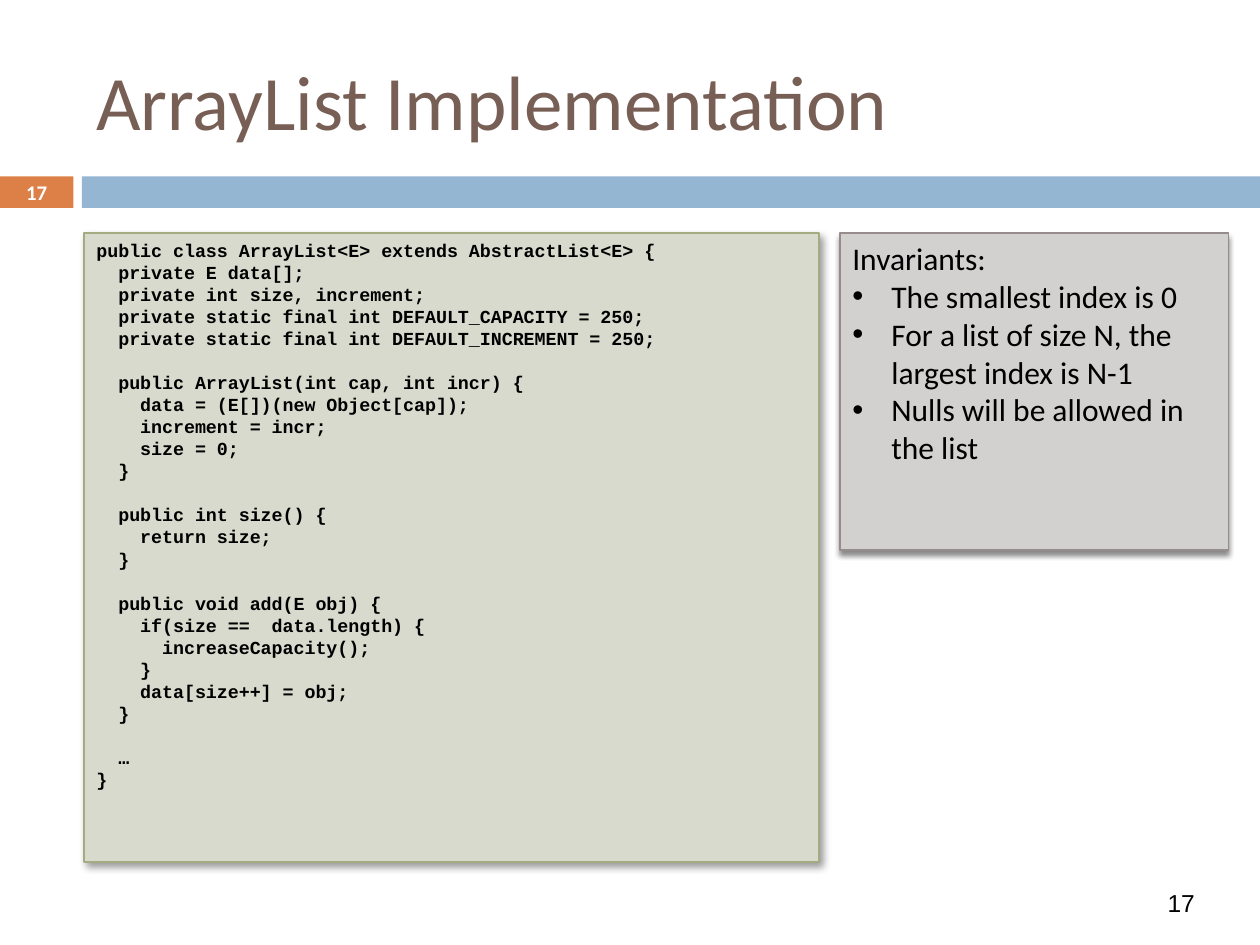
from dataclasses import dataclass

from lxml.etree import SubElement
from pptx import Presentation
from pptx.dml.color import RGBColor as RGB
from pptx.enum.shapes import MSO_SHAPE as Shape
from pptx.enum.text import MSO_ANCHOR as Anchor, PP_ALIGN as Align
from pptx.oxml.ns import qn
from pptx.util import Inches, Pt

COLUMNS, ROWS = 120, 90
WIDTH, HEIGHT = Inches(10), Inches(7.5)

CODE = """public class ArrayList<E> extends AbstractList<E> {
  private E data[];
  private int size, increment;
  private static final int DEFAULT_CAPACITY = 250;
  private static final int DEFAULT_INCREMENT = 250;

  public ArrayList(int cap, int incr) {
    data = (E[])(new Object[cap]);
    increment = incr;
    size = 0;
  }

  public int size() {
    return size;
  }

  public void add(E obj) {
    if(size ==  data.length) {
      increaseCapacity();
    }
    data[size++] = obj;
  }

  …
}"""

INVARIANTS = """Invariants:
The smallest index is 0
For a list of size N, the largest index is N-1
Nulls will be allowed in the list"""


@dataclass(frozen=True)
class TextStyle:
    """Font, size, colour and weight of a piece of text."""
    font: str
    size: float
    color: str = "000000"
    bold: bool = False


@dataclass(frozen=True)
class PanelStyle:
    """Fill, outline and shadow of a panel."""
    fill: str
    line: str
    opacity: int
    blur: float
    distance: float
    angle: int


@dataclass(frozen=True)
class Theme:
    """Colours and type of the slide."""
    accent: str = "DD8047"
    band: str = "94B6D2"
    title: TextStyle = TextStyle("Calibri", 44, "775F55")
    badge: TextStyle = TextStyle("Calibri", 11.9, "FFFFFF", True)
    footer: TextStyle = TextStyle("Arial", 14)
    code: TextStyle = TextStyle("Courier New", 10.5, bold=True)
    body: TextStyle = TextStyle("Calibri", 18)
    code_panel: PanelStyle = PanelStyle("D8DACD", "A5AB81", 40, 4, 3, 45)
    note_panel: PanelStyle = PanelStyle("D3D0D0", "968C8C", 45, 3, 2.4, 90)


THEME = Theme()


def place(column, row, columns, rows):
    """Turn a grid cell range into left, top, width and height."""
    across, down = WIDTH / COLUMNS, HEIGHT / ROWS
    return [round(n) for n in (column * across, row * down, columns * across, rows * down)]


def write(holder, text, style, align=Align.LEFT, anchor=Anchor.TOP):
    """Write styled text, one paragraph per line."""
    frame = holder.text_frame
    frame.text = text
    frame.word_wrap = True
    frame.vertical_anchor = anchor
    for paragraph in frame.paragraphs:
        paragraph.alignment = align
        for run in paragraph.runs:
            run.font.name = style.font
            run.font.size = Pt(style.size)
            run.font.bold = style.bold
            run.font.color.rgb = RGB.from_string(style.color)
        if not paragraph.runs:
            end = SubElement(paragraph._p, qn("a:endParaRPr"), sz=str(round(style.size * 100)), b=str(int(style.bold)))
            SubElement(end, qn("a:latin"), typeface=style.font)
    return frame


def add_text(slide, cells, text, style, **layout):
    """Add a text box on the grid."""
    return write(slide.shapes.add_textbox(*place(*cells)), text, style, **layout)


def add_block(slide, cells, fill):
    """Add a flat rectangle without an outline."""
    block = slide.shapes.add_shape(Shape.RECTANGLE, *place(*cells))
    block.shadow.inherit = False
    block.fill.solid()
    block.fill.fore_color.rgb = RGB.from_string(fill)
    block.line.fill.background()
    return block


def add_panel(slide, cells, look, text, style):
    """Add an outlined panel with a soft shadow and text."""
    panel = add_block(slide, cells, look.fill)
    panel.line.color.rgb = RGB.from_string(look.line)
    panel.line.width = Pt(0.79)
    effects = panel._element.spPr.find(qn("a:effectLst"))
    shadow = SubElement(effects, qn("a:outerShdw"), blurRad=str(Pt(look.blur)), dist=str(Pt(look.distance)),
                        dir=str(look.angle * 60000), algn="ctr", rotWithShape="0")
    color = SubElement(shadow, qn("a:srgbClr"), val="000000")
    SubElement(color, qn("a:alpha"), val=str(look.opacity * 1000))
    return write(panel, text, style)


def add_bullet(paragraph):
    """Give a paragraph a round bullet and a hanging indent."""
    properties = paragraph._p.get_or_add_pPr()
    indent = Inches(0.31)
    properties.set("marL", str(indent))
    properties.set("indent", str(-indent))
    SubElement(properties, qn("a:buFont"), typeface="Arial")
    SubElement(properties, qn("a:buChar"), char="•")


def main():
    """Build and save the slide."""
    deck = Presentation()
    deck.slide_width, deck.slide_height = WIDTH, HEIGHT
    slide = deck.slides.add_slide(deck.slide_layouts[6])

    badge = add_block(slide, (0, 16.8, 7, 3), THEME.accent)
    write(badge, "17", THEME.badge, align=Align.CENTER, anchor=Anchor.MIDDLE)
    add_block(slide, (7.8, 16.8, 112.2, 3), THEME.band)
    add_text(slide, (8, 3, 107, 13), "ArrayList Implementation", THEME.title, anchor=Anchor.MIDDLE)
    add_text(slide, (108, 84, 9, 4), "17", THEME.footer, align=Align.CENTER)

    add_panel(slide, (8, 22.2, 70, 59.9), THEME.code_panel, CODE, THEME.code)
    notes = add_panel(slide, (80, 22.2, 37, 30.2), THEME.note_panel, INVARIANTS, THEME.body)
    for invariant in notes.paragraphs[1:]:
        add_bullet(invariant)

    deck.save("out.pptx")


if __name__ == "__main__":
    main()
